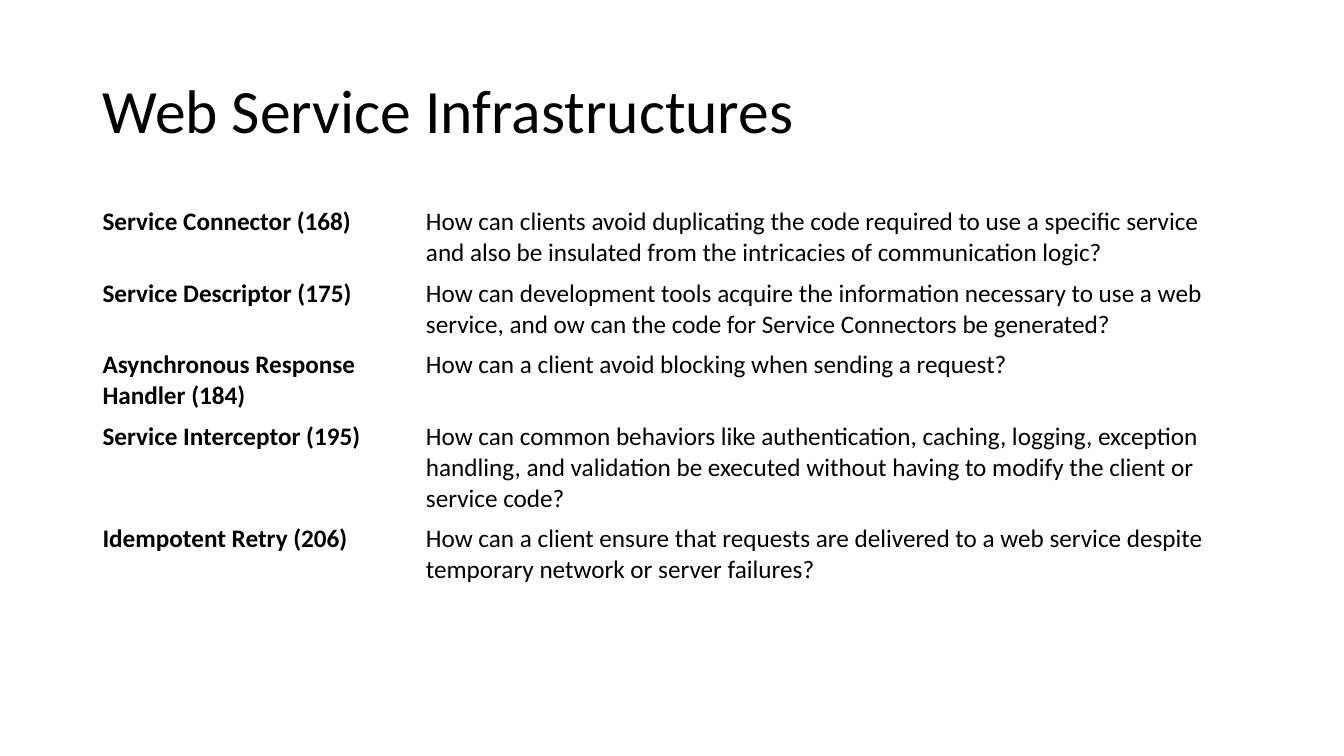
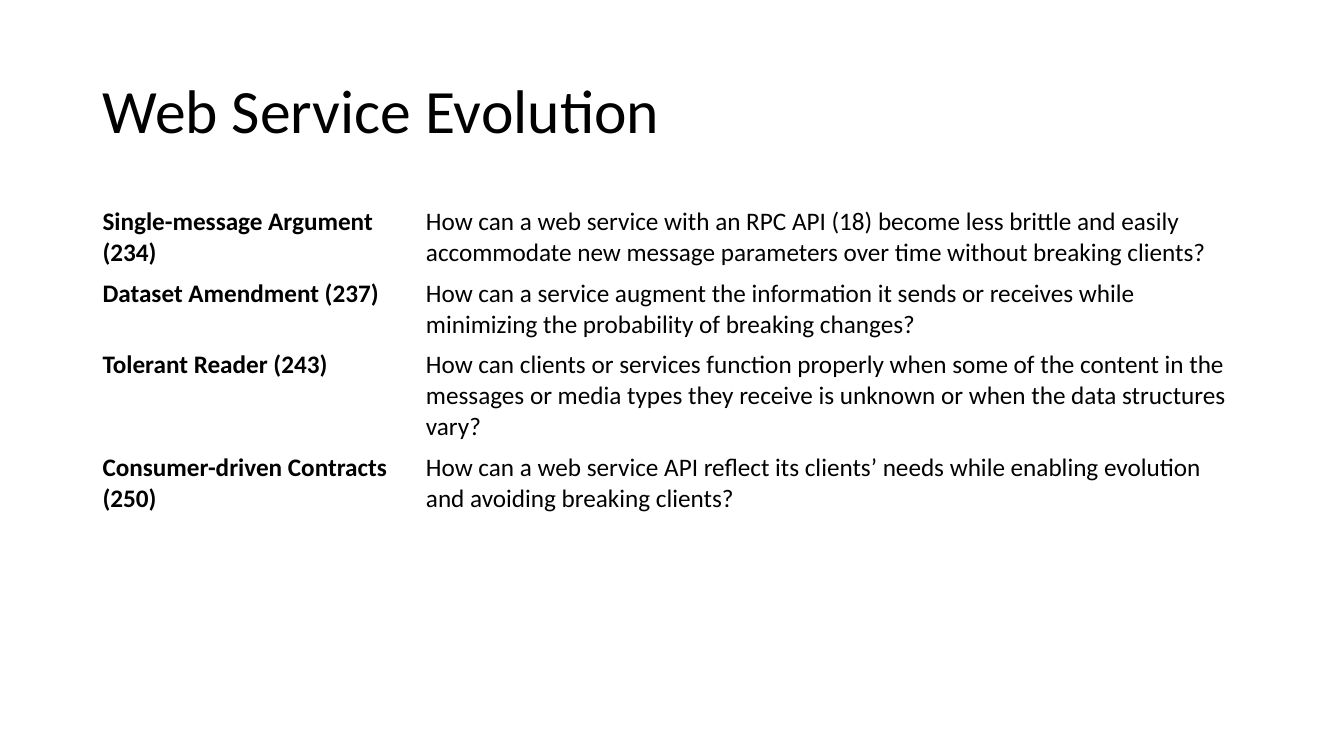
from pptx import Presentation
from pptx.dml.color import RGBColor
from pptx.enum.text import MSO_ANCHOR, PP_ALIGN
from pptx.util import Cm, Pt

LEFT = PP_ALIGN.LEFT
TOP = MSO_ANCHOR.TOP
MIDDLE = MSO_ANCHOR.MIDDLE

# Shared style
BLACK = RGBColor(0x00, 0x00, 0x00)
FONT = "Calibri"
TITLE_SIZE = Pt(44)
TABLE_SIZE = Pt(18)
TITLE_ONLY = 5

# Shared grid
MARGIN = Cm(2.33)
CONTENT_WIDTH = Cm(29.21)
TITLE_TOP = Cm(1.01)
TITLE_HEIGHT = Cm(3.68)
TABLE_TOP = Cm(5.08)
NAME_WIDTH = Cm(8.15)
ROW_HEIGHT = Cm(1.03)

# Each slide: title, then pairs of pattern name and the question it answers
SLIDES = [
    ("Web Service Infrastructures", [
        ("Service Connector (168)",
         "How can clients avoid duplicating the code required to use a specific "
         "service and also be insulated from the intricacies of communication logic?"),
        ("Service Descriptor (175)",
         "How can development tools acquire the information necessary to use a web "
         "service, and ow can the code for Service Connectors be generated?"),
        ("Asynchronous Response Handler (184)",
         "How can a client avoid blocking when sending a request?"),
        ("Service Interceptor (195)",
         "How can common behaviors like authentication, caching, logging, exception "
         "handling, and validation be executed without having to modify the client "
         "or service code?"),
        ("Idempotent Retry (206)",
         "How can a client ensure that requests are delivered to a web service "
         "despite temporary network or server failures?"),
    ]),
    ("Web Service Evolution", [
        ("Single-message Argument (234)",
         "How can a web service with an RPC API (18) become less brittle and easily "
         "accommodate new message parameters over time without breaking clients?"),
        ("Dataset Amendment (237)",
         "How can a service augment the information it sends or receives while "
         "minimizing the probability of breaking changes?"),
        ("Tolerant Reader (243)",
         "How can clients or services function properly when some of the content in "
         "the messages or media types they receive is unknown or when the data "
         "structures vary?"),
        ("Consumer-driven Contracts (250)",
         "How can a web service API reflect its clients\u2019 needs while enabling "
         "evolution and avoiding breaking clients?"),
    ]),
]


def add_run(para, text, size, bold=False):
    span = para.add_run()
    span.text = text
    span.font.name = FONT
    span.font.size = size
    span.font.bold = bold
    span.font.color.rgb = BLACK


def set_title(page, text):
    box = page.shapes.title
    box.left, box.top = MARGIN, TITLE_TOP
    box.width, box.height = CONTENT_WIDTH, TITLE_HEIGHT
    box.text_frame.vertical_anchor = MIDDLE
    box.text_frame.word_wrap = True
    para = box.text_frame.paragraphs[0]
    para.alignment = LEFT
    para.line_spacing = 0.9
    add_run(para, text, TITLE_SIZE)


def add_pattern_table(page, patterns):
    frame = page.shapes.add_table(len(patterns), 2, MARGIN, TABLE_TOP,
                                  CONTENT_WIDTH, ROW_HEIGHT * len(patterns))
    table = frame.table
    table.first_row = False
    table.horz_banding = False
    table.columns[0].width = NAME_WIDTH
    table.columns[1].width = CONTENT_WIDTH - NAME_WIDTH
    for row, pattern in enumerate(patterns):
        for column, text in enumerate(pattern):
            cell = table.cell(row, column)
            cell.fill.background()
            cell.vertical_anchor = TOP
            add_run(cell.text_frame.paragraphs[0], text, TABLE_SIZE,
                    bold=column == 0)


def main():
    deck = Presentation()
    deck.slide_width, deck.slide_height = Cm(33.87), Cm(19.05)
    for title, patterns in SLIDES:
        page = deck.slides.add_slide(deck.slide_layouts[TITLE_ONLY])
        set_title(page, title)
        add_pattern_table(page, patterns)
    deck.save("out.pptx")


main()
